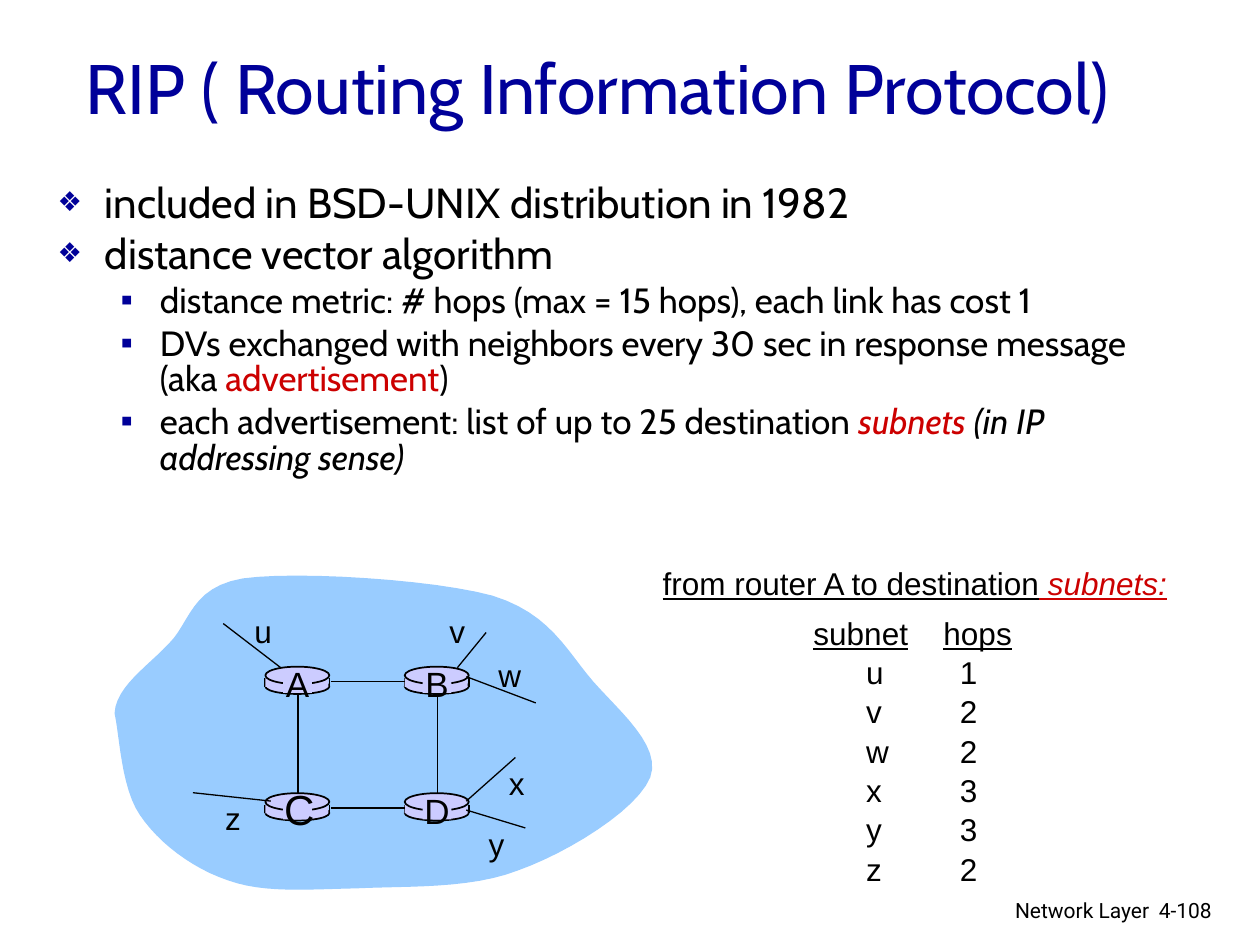
from pptx import Presentation
from pptx.dml.color import RGBColor
from pptx.enum.shapes import MSO_CONNECTOR, MSO_SHAPE
from pptx.enum.text import MSO_ANCHOR, MSO_AUTO_SIZE, PP_ALIGN
from pptx.oxml.ns import qn
from pptx.util import Cm, Pt
from lxml import etree

NAVY = RGBColor(0x00, 0x00, 0x99)
RED = RGBColor(0xCC, 0x00, 0x00)
BLACK = RGBColor(0x00, 0x00, 0x00)
SKY = RGBColor(0x99, 0xCC, 0xFF)
LILAC = RGBColor(0xCC, 0xCC, 0xFF)
ELLIPSE, RECTANGLE = MSO_SHAPE.OVAL, MSO_SHAPE.RECTANGLE
STRAIGHT = MSO_CONNECTOR.STRAIGHT
LEFT, CENTER, RIGHT = PP_ALIGN.LEFT, PP_ALIGN.CENTER, PP_ALIGN.RIGHT

# Per level: bullet, bullet size in percent, left indent, hanging indent, font size
LEVELS = [("❖", 65, 0.95, 0.95, 24), ("▪", 100, 2.06, 0.79, 20)]
BULLETS = [
    (0, [("included in BSD-UNIX distribution in 1982", {})]),
    (0, [("distance vector algorithm", {})]),
    (1, [("distance metric: # hops (max = 15 hops), each link has cost 1", {})]),
    (1, [("DVs exchanged with neighbors every 30 sec in response message (aka ", {}),
         ("advertisement", {"color": RED}), (")", {})]),
    (1, [("each advertisement: list of up to 25 destination ", {}),
         ("subnets ", {"color": RED, "italic": True}),
         ("(in IP addressing sense)", {"italic": True})]),
]

CLOUD_START = (2.31, 14.38)
CLOUD_CURVES = [  # two control points and the end point of each Bézier curve
    ((2.34, 13.84), (2.97, 13.44), (3.40, 12.98)),
    ((3.84, 12.55), (3.84, 11.84), (4.90, 11.66)),
    ((5.99, 11.51), (8.74, 11.68), (9.93, 12.01)),
    ((11.10, 12.37), (11.43, 13.13), (11.96, 13.74)),
    ((12.50, 14.35), (13.34, 15.04), (13.11, 15.67)),
    ((12.85, 16.33), (11.43, 17.20), (10.44, 17.55)),
    ((9.47, 17.93), (8.15, 17.86), (7.19, 17.91)),
    ((6.20, 17.93), (5.33, 18.01), (4.60, 17.75)),
    ((3.86, 17.50), (3.20, 16.99), (2.82, 16.43)),
    ((2.44, 15.88), (2.41, 14.81), CLOUD_START),
]

COLUMNS, ROWS = (5.35, 8.16), (13.44, 15.99)
ROUTER_WIDTH = 1.29
ROUTERS = [  # name, column, row, font size, text offset from the router's top
    ("A", 0, 0, 20, -0.2), ("B", 1, 0, 20, -0.2),
    ("C", 0, 1, 24, -0.33), ("D", 1, 1, 20, -0.2),
]
SUBNETS = [  # name, hops, label corner, label width, line start, line end
    ("u", 1, (4.88, 12.22), 0.86, (5.66, 13.46), (4.50, 12.57)),
    ("v", 2, (8.81, 12.22), 0.84, (9.22, 13.46), (9.80, 12.75)),
    ("w", 2, (9.80, 13.11), 0.97, (9.40, 13.64), (10.80, 14.17)),
    ("x", 3, (10.01, 15.27), 0.84, (9.40, 16.15), (10.39, 15.27)),
    ("y", 3, (9.60, 16.51), 0.84, (9.40, 16.33), (10.59, 16.69)),
    ("z", 2, (4.29, 15.98), 0.84, (5.46, 16.15), (3.89, 15.98)),
]


def curve_points(start, curves, steps=12):
    """Return points along a chain of cubic Bézier curves."""
    points = []
    for first, second, end in curves:
        for step in range(1, steps + 1):
            t = step / steps
            weights = ((1 - t) ** 3, 3 * t * (1 - t) ** 2, 3 * t * t * (1 - t), t ** 3)
            points.append([sum(w * value for w, value in zip(weights, axis))
                           for axis in zip(start, first, second, end)])
        start = end
    return points


class SlideBuilder:
    title_font, text_font, footer_font = "Cabin", "Arial", "Roboto"

    def __init__(self, slide):
        self.slide = slide
        self.shapes = slide.shapes

    def style(self, font, name, size, color=BLACK):
        font.name, font.size = name, Pt(size)
        font.color.rgb = color

    def spans(self, paragraph, spans):
        for text, looks in spans:
            span = paragraph.add_run()
            span.text = text
            for name, value in looks.items():
                if name == "color":
                    span.font.color.rgb = value
                else:
                    setattr(span.font, name, value)

    def place(self, shape, left, top, width, height):
        shape.left, shape.top = Cm(left), Cm(top)
        shape.width, shape.height = Cm(width), Cm(height)

    def title(self, text, *bounds):
        title = self.shapes.title
        self.place(title, *bounds)
        frame = title.text_frame
        frame.text = text
        frame.auto_size = MSO_AUTO_SIZE.NONE
        frame.vertical_anchor = MSO_ANCHOR.MIDDLE
        frame.paragraphs[0].alignment = LEFT
        self.style(frame.paragraphs[0].font, self.title_font, 40, NAVY)

    def bullets(self, items, *bounds):
        body = self.slide.placeholders[1]
        self.place(body, *bounds)
        frame = body.text_frame
        frame.auto_size = MSO_AUTO_SIZE.NONE
        for index, (level, spans) in enumerate(items):
            para = frame.paragraphs[0] if index == 0 else frame.add_paragraph()
            bullet, percent, indent, hanging, size = LEVELS[level]
            para.level = level
            para.line_spacing = 0.85
            para.space_before = Pt(0.2 * size if index else 0)
            properties = para._p.get_or_add_pPr()
            properties.set("marL", str(Cm(indent)))
            properties.set("indent", str(-Cm(hanging)))
            color = etree.SubElement(properties, qn("a:buClr"))
            etree.SubElement(color, qn("a:srgbClr"), val=str(NAVY))
            etree.SubElement(properties, qn("a:buSzPct"), val=str(percent * 1000))
            etree.SubElement(properties, qn("a:buChar"), char=bullet)
            self.style(para.font, self.title_font, size)
            self.spans(para, spans)

    def text(self, lines, left, top, width, height, size=18, align=LEFT,
             font=text_font, wrap=False, spacing=None, tabs=()):
        """Add a text box; each line is a list of spans and each tabs entry its stops."""
        box = self.shapes.add_textbox(Cm(left), Cm(top), Cm(width), Cm(height))
        frame = box.text_frame
        frame.word_wrap = wrap
        for index, spans in enumerate(lines):
            para = frame.paragraphs[0] if index == 0 else frame.add_paragraph()
            para.alignment = align
            para.line_spacing = spacing
            if tabs:
                stops = etree.SubElement(para._p.get_or_add_pPr(), qn("a:tabLst"))
                for stop in tabs[index]:
                    etree.SubElement(stops, qn("a:tab"), pos=str(Cm(stop)), algn="l")
            self.style(para.font, font, size)
            self.spans(para, spans)

    def paint(self, shape, fill, outlined=False):
        shape.shadow.inherit = False
        shape.fill.solid()
        shape.fill.fore_color.rgb = fill
        if outlined:
            shape.line.color.rgb = BLACK
            shape.line.width = Pt(1)
        else:
            shape.line.fill.background()

    def shape(self, kind, left, top, width, height, outlined=False):
        shape = self.shapes.add_shape(kind, Cm(left), Cm(top), Cm(width), Cm(height))
        self.paint(shape, LILAC, outlined)

    def line(self, start, end, width=1):
        line = self.shapes.add_connector(STRAIGHT, *map(Cm, (*start, *end)))
        line.line.color.rgb = BLACK
        line.line.width = Pt(width)
        etree.SubElement(line._element.spPr, qn("a:effectLst"))

    def cloud(self):
        builder = self.shapes.build_freeform(*map(Cm, CLOUD_START))
        outline = curve_points(CLOUD_START, CLOUD_CURVES)
        builder.add_line_segments([(Cm(x), Cm(y)) for x, y in outline])
        self.paint(builder.convert_to_shape(), SKY)

    def router(self, left, top):
        self.shape(ELLIPSE, left, top + 0.25, ROUTER_WIDTH, 0.3, True)
        for side in (left, left + ROUTER_WIDTH):
            self.line((side, top + 0.23), (side, top + 0.41))
        self.shape(RECTANGLE, left, top + 0.23, ROUTER_WIDTH - 0.02, 0.18)
        self.shape(ELLIPSE, left, top, ROUTER_WIDTH, 0.35, True)

    def router_name(self, name, left, top, size, offset):
        self.shape(RECTANGLE, left + 0.36, top + 0.05, 0.58, 0.48)
        self.text([[(name, {})]], left + 0.13, top + offset, 1.04, 1.1, size, CENTER)


def main():
    deck = Presentation()
    deck.slide_width, deck.slide_height = Cm(25.4), Cm(19.05)
    page = SlideBuilder(deck.slides.add_slide(deck.slide_layouts[1]))

    page.text([[("Network Layer", {})]], 15.37, 17.96, 8.05, 0.79, 12, RIGHT,
              page.footer_font, True)
    page.text([[("4-108", {})]], 23.11, 17.96, 1.88, 0.76, 12, LEFT,
              page.footer_font, True)
    page.title("RIP ( Routing Information Protocol)", 1.47, 0.43, 22.71, 2.62)
    page.bullets(BULLETS, 0.91, 3.58, 23.24, 4.7)

    page.cloud()
    for _, column, row, _, _ in ROUTERS:
        page.router(COLUMNS[column], ROWS[row])
    for top in ROWS:
        page.line((COLUMNS[0] + 1.32, top + 0.3), (COLUMNS[1], top + 0.3))
    for left in COLUMNS:
        page.line((left + 0.66, ROWS[0] + 0.58), (left + 0.66, ROWS[1]))
    for name, column, row, size, offset in ROUTERS:
        page.router_name(name, COLUMNS[column], ROWS[row], size, offset)
    for name, _, corner, width, start, end in SUBNETS:
        page.line(start, end, 0.75)
        page.text([[(name, {})]], *corner, width, 1.02)

    underline = {"underline": True}
    rows = [[("subnet", underline), ("\t", {}), ("hops", underline)]]
    rows += [[(f"\t{name}\t{hops}", {})] for name, hops, *_ in SUBNETS]
    page.text(rows, 16.15, 12.22, 4.9, 6.35, wrap=True, spacing=1.04,
              tabs=[(2.62,)] + [(1.06, 2.95)] * len(SUBNETS))
    page.text([[("from router A to destination", underline),
                (" ", {"underline": True, "color": RED}),
                ("subnets:", {"underline": True, "color": RED, "italic": True})]],
              13.11, 11.25, 10.74, 1.02)
    deck.save("out.pptx")


if __name__ == "__main__":
    main()
